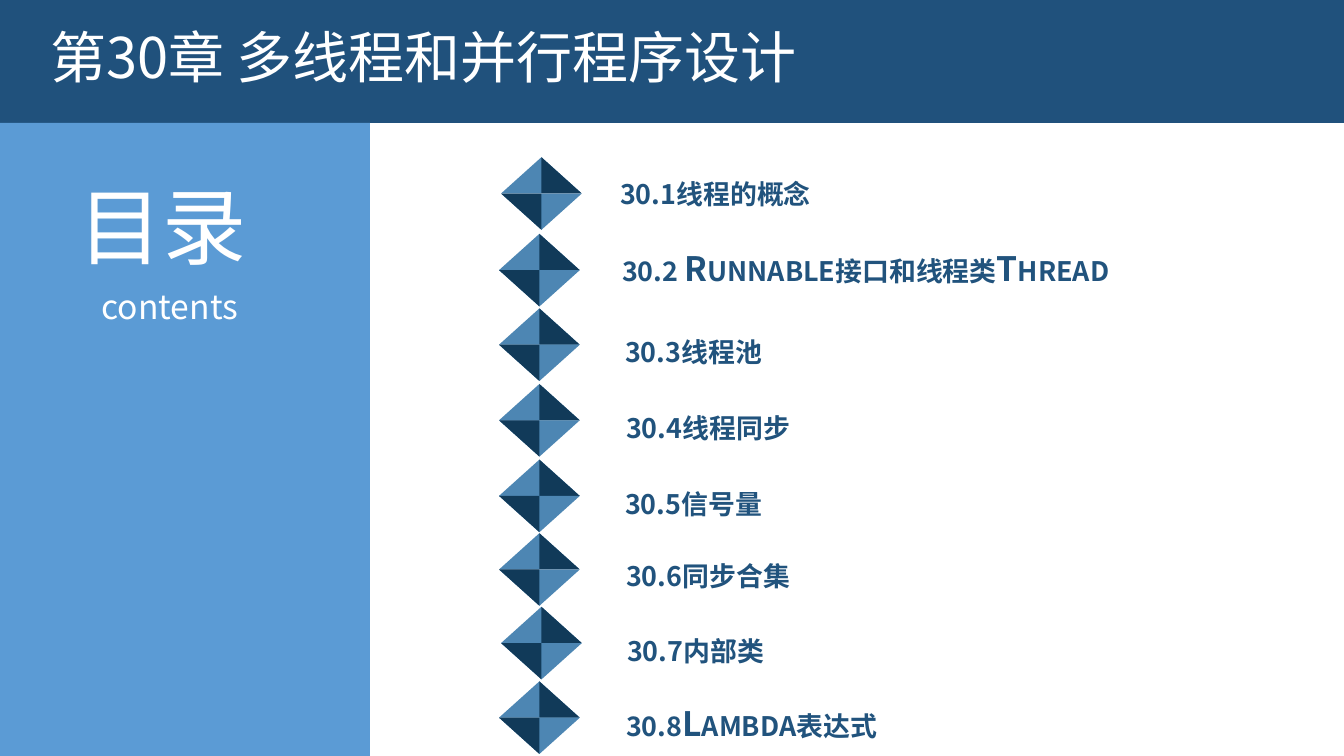
import pptx
import pptx.util
import pptx.dml.color
import pptx.enum.shapes
import pptx.enum.text
import pptx.oxml.ns
import lxml.etree

Inches = pptx.util.Inches
RGBColor = pptx.dml.color.RGBColor
Shape = pptx.enum.shapes.MSO_SHAPE
Align = pptx.enum.text.PP_ALIGN

NAVY = RGBColor(0x20, 0x51, 0x7C)
SKY = RGBColor(0x5B, 0x9B, 0xD5)
WHITE = RGBColor(0xFF, 0xFF, 0xFF)
STEEL = RGBColor(0x4D, 0x86, 0xB3)
MIDNIGHT = RGBColor(0x11, 0x3A, 0x59)
ENTRY_BLUE = RGBColor(0x21, 0x53, 0x7D)
FONT = "Noto Sans CJK SC"

DIAMOND_HALF_WIDTH = 0.4
DIAMOND_HALF_HEIGHT = 0.36

SECTIONS = [
    ("30.1线程的概念", 4.97, 1.56, 6.07, 1.66),
    ("30.2 Runnable接口和线程类Thread", 4.95, 2.32, 6.09, 2.42),
    ("30.3线程池", 4.95, 3.06, 6.12, 3.22),
    ("30.4线程同步", 4.95, 3.81, 6.13, 3.98),
    ("30.5信号量", 4.95, 4.56, 6.12, 4.73),
    ("30.6同步合集", 4.95, 5.29, 6.13, 5.45),
    ("30.7内部类", 4.97, 6.02, 6.14, 6.19),
    ("30.8Lambda表达式", 4.95, 6.76, 6.13, 6.93),
]


def paint(shape, color):
    shape.shadow.inherit = False
    shape.fill.solid()
    shape.fill.fore_color.rgb = color
    shape.line.fill.background()


def add_filled(shapes, kind, left, top, width, height, color):
    shape = shapes.add_shape(
        kind, Inches(left), Inches(top), Inches(width), Inches(height)
    )
    paint(shape, color)
    return shape


def add_corner(shapes, points, color):
    corners = [(Inches(x), Inches(y)) for x, y in points]
    builder = shapes.build_freeform(*corners[0])
    builder.add_line_segments(corners[1:], close=True)
    paint(builder.convert_to_shape(), color)


def add_diamond(page, left, top):
    shapes = page.shapes.add_group_shape().shapes
    width = 2 * DIAMOND_HALF_WIDTH
    center = left + DIAMOND_HALF_WIDTH
    middle = top + DIAMOND_HALF_HEIGHT
    bottom = middle + DIAMOND_HALF_HEIGHT
    add_filled(shapes, Shape.ISOSCELES_TRIANGLE, left, top,
               width, DIAMOND_HALF_HEIGHT, STEEL)
    add_corner(shapes, [(center, top), (center, middle), (left + width, middle)],
               MIDNIGHT)
    lower = add_filled(shapes, Shape.ISOSCELES_TRIANGLE, left, middle,
                       width, DIAMOND_HALF_HEIGHT, STEEL)
    lower.rotation = 180
    add_corner(shapes, [(center, bottom), (center, middle), (left, middle)],
               MIDNIGHT)


def add_text(page, text, left, top, width, height, size, color, align=Align.LEFT):
    box = page.shapes.add_textbox(
        Inches(left), Inches(top), Inches(width), Inches(height)
    )
    frame = box.text_frame
    frame.word_wrap = True
    frame.auto_size = pptx.enum.text.MSO_AUTO_SIZE.SHAPE_TO_FIT_TEXT
    para = frame.paragraphs[0]
    para.text = text
    para.alignment = align
    font = para.font
    font.size = pptx.util.Pt(size)
    font.name = FONT
    font.color.rgb = color
    east_asian = lxml.etree.SubElement(font._element, pptx.oxml.ns.qn("a:ea"))
    east_asian.set("typeface", FONT)
    return frame


def add_entry(page, text, left, top):
    frame = add_text(page, text, left, top, 6.12, 0.48, 24, ENTRY_BLUE)
    frame.margin_left = frame.margin_right = Inches(0.08)
    frame.margin_top = frame.margin_bottom = Inches(0.04)
    font = frame.paragraphs[0].font
    font.bold = True
    font._element.set("cap", "small")


def main():
    deck = pptx.Presentation()
    deck.slide_width = Inches(13.33)
    deck.slide_height = Inches(7.5)
    page = deck.slides.add_slide(deck.slide_layouts[6])

    add_filled(page.shapes, Shape.RECTANGLE, -0.01, -0.01, 13.36, 1.23, NAVY)
    add_filled(page.shapes, Shape.RECTANGLE, 0, 1.22, 3.67, 6.28, SKY)
    add_text(page, "目录", 0.68, 1.68, 2.19, 1.11, 60, WHITE, Align.JUSTIFY)
    add_text(page, "contents", 0.91, 2.79, 1.74, 0.51, 24, WHITE, Align.JUSTIFY)
    add_text(page, "第30章 多线程和并行程序设计", 0.4, 0.17, 10.15, 0.77, 40, WHITE)

    for text, diamond_left, diamond_top, text_left, text_top in SECTIONS:
        add_diamond(page, diamond_left, diamond_top)
        add_entry(page, text, text_left, text_top)

    deck.save("out.pptx")


if __name__ == "__main__":
    main()
